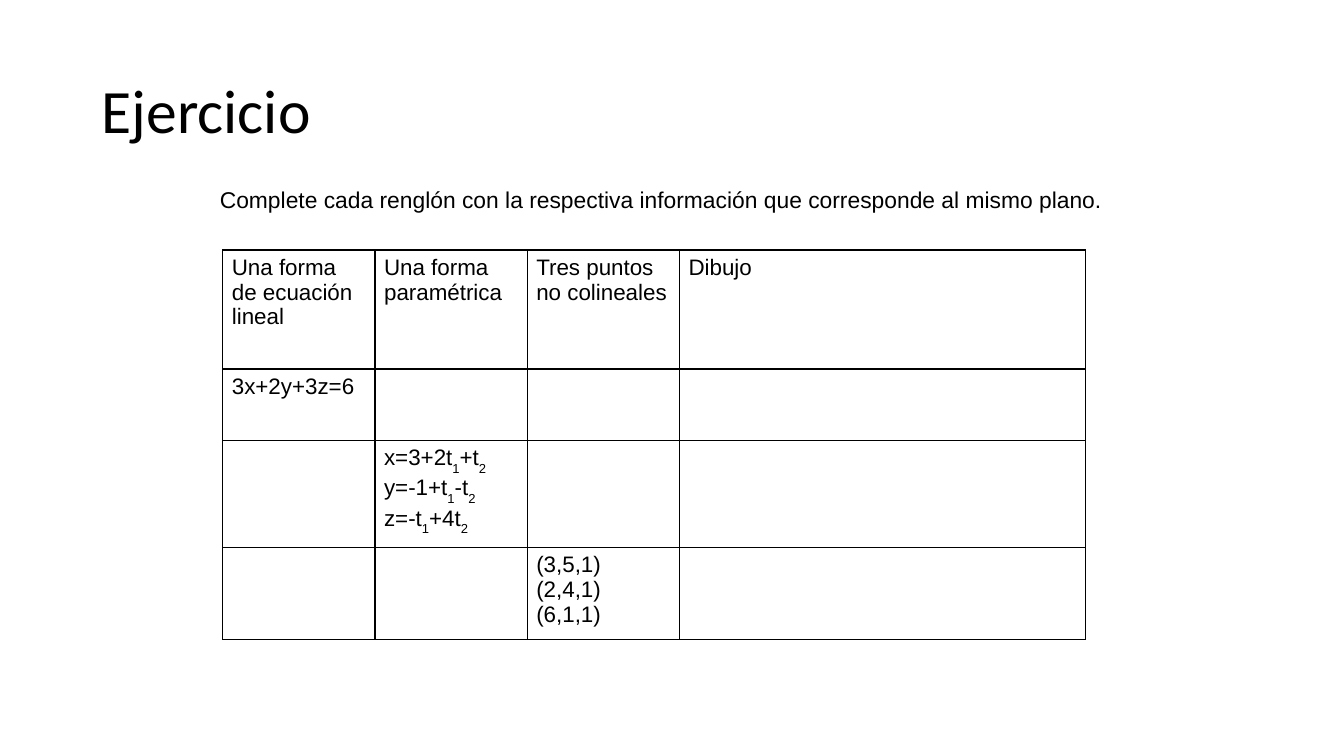
from lxml.etree import SubElement
from pptx import Presentation
from pptx.dml.color import RGBColor
from pptx.enum.text import MSO_ANCHOR, MSO_AUTO_SIZE
from pptx.oxml.ns import qn
from pptx.util import Inches, Pt

TITLE = "Ejercicio"
PROMPT = "Complete cada renglón con la respectiva información que corresponde al mismo plano."
ROWS = [
    [["Una forma de ecuación lineal"], ["Una forma", "paramétrica"],
     ["Tres puntos no colineales"], ["Dibujo"]],
    [["3x+2y+3z=6"], [], [], []],
    [[], ["x=3+2t_1+t_2", "y=-1+t_1-t_2", "z=-t_1+4t_2"], [], []],
    [[], [], ["(3,5,1) (2,4,1) (6,1,1)"], []],
]
COL_WIDTHS = [1.51, 1.51, 1.51, 4.03]
ROW_HEIGHTS = [1.18, 0.71, 0.91, 0.91]
TABLE_LEFT, TABLE_TOP = 2.21, 2.48
COLORS = {"ink": "000000"}
INK = RGBColor.from_string(COLORS["ink"])


def add_run(p, text, size, font="Arial", subscript=False):
    r = p.add_run()
    r.text = text
    r.font.size = Pt(size)
    r.font.name = font
    r.font.color.rgb = INK
    if subscript:
        r._r.get_or_add_rPr().set("baseline", "-33000")


def add_formula(p, text, size):
    head, *tails = text.split("_")
    add_run(p, head, size)
    for tail in tails:
        add_run(p, tail[0], size, subscript=True)
        if tail[1:]:
            add_run(p, tail[1:], size)


def add_borders(cell, first_row):
    tcPr = cell._tc.get_or_add_tcPr()
    for side in ("lnL", "lnR", "lnT", "lnB"):
        width = Pt(1.5) if first_row and side == "lnT" else Pt(1)
        ln = SubElement(tcPr, qn("a:" + side), w=str(width))
        fill = SubElement(ln, qn("a:solidFill"))
        SubElement(fill, qn("a:srgbClr"), val=COLORS["ink"])


def add_text(s, box, text, size, font, wrap, margin_y):
    tf = s.shapes.add_textbox(*map(Inches, box)).text_frame
    tf.word_wrap = wrap
    tf.margin_left = tf.margin_right = Inches(0.09)
    tf.margin_top = tf.margin_bottom = Inches(margin_y)
    add_run(tf.paragraphs[0], text, size, font)
    return tf


def add_exercise_table(s):
    frame = s.shapes.add_table(
        len(ROWS), len(COL_WIDTHS), Inches(TABLE_LEFT), Inches(TABLE_TOP),
        Inches(sum(COL_WIDTHS)), Inches(sum(ROW_HEIGHTS)))
    table = frame.table
    table.first_row = table.horz_banding = False
    for col, width in zip(table.columns, COL_WIDTHS):
        col.width = Inches(width)
    for i, (row, height) in enumerate(zip(ROWS, ROW_HEIGHTS)):
        table.rows[i].height = Inches(height)
        for j, lines in enumerate(row):
            cell = table.cell(i, j)
            cell.margin_left = cell.margin_right = Inches(0.09)
            cell.margin_top = cell.margin_bottom = Inches(0.05)
            add_borders(cell, i == 0)
            cell.fill.background()
            tf = cell.text_frame
            for k, line in enumerate(lines):
                p = tf.add_paragraph() if k else tf.paragraphs[0]
                add_formula(p, line, 16)


def main():
    prs = Presentation()
    prs.slide_width, prs.slide_height = Inches(13.33), Inches(7.5)
    s = prs.slides.add_slide(prs.slide_layouts[6])
    title = add_text(s, (0.92, 0.4, 11.5, 1.45), TITLE, 44, "Calibri", True, 0.05)
    title.vertical_anchor = MSO_ANCHOR.MIDDLE
    title.paragraphs[0].line_spacing = 0.9
    add_exercise_table(s)
    prompt = add_text(s, (2.09, 1.8, 9.03, 0.35), PROMPT, 16.3, "Arial", False, 0.04)
    prompt.auto_size = MSO_AUTO_SIZE.SHAPE_TO_FIT_TEXT
    prs.save("out.pptx")


if __name__ == "__main__":
    main()
